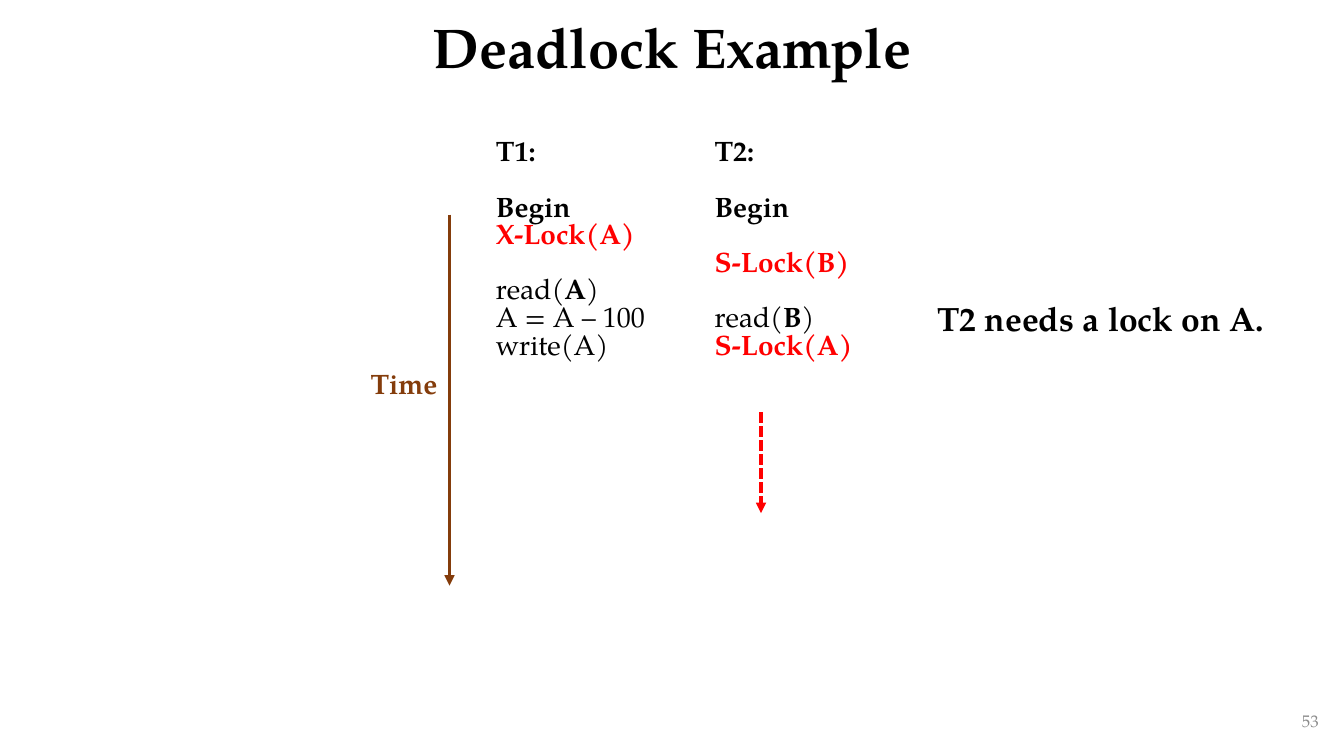
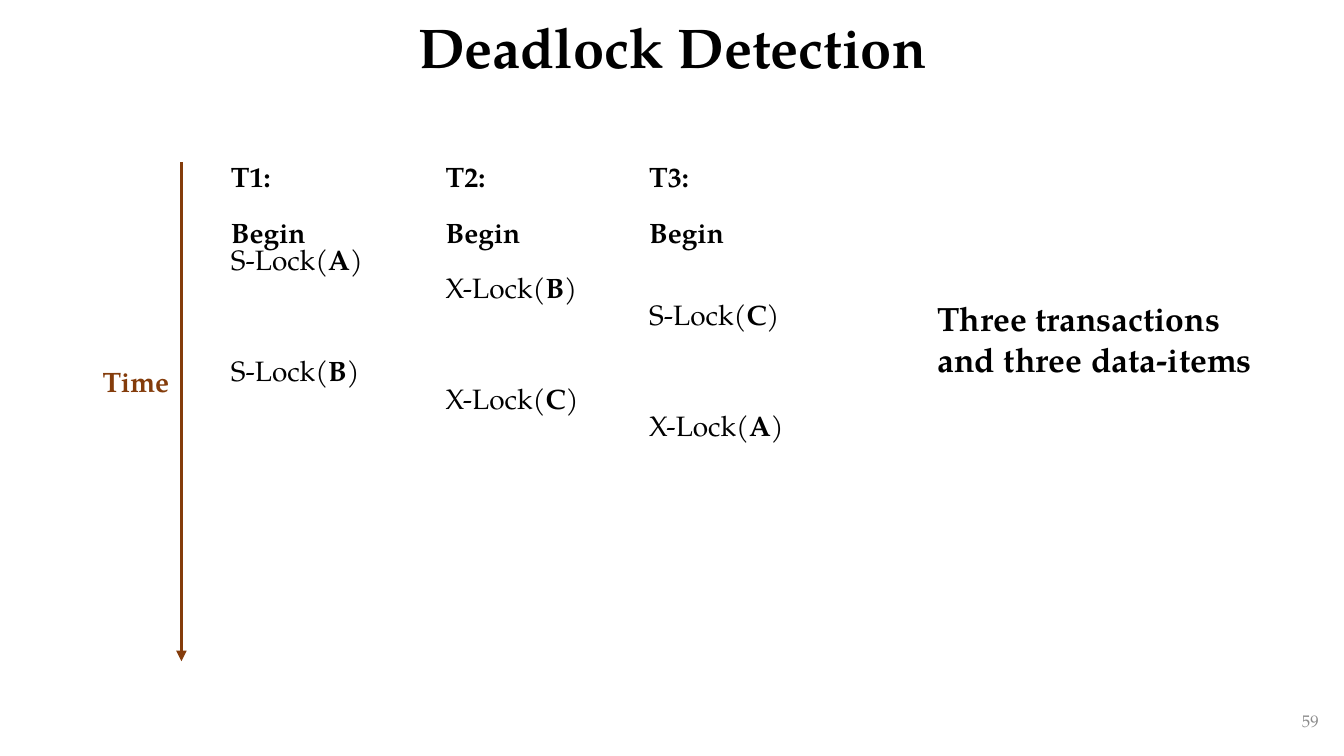
from dataclasses import dataclass

from pptx import Presentation
from pptx.dml.color import RGBColor
from pptx.enum.dml import MSO_LINE
from pptx.enum.shapes import MSO_CONNECTOR
from pptx.enum.text import MSO_ANCHOR, MSO_AUTO_SIZE, PP_ALIGN
from pptx.oxml.ns import qn
from pptx.oxml.xmlchemy import OxmlElement
from pptx.presentation import Presentation as Deck
from pptx.shapes.shapetree import SlideShapes
from pptx.slide import Slide
from pptx.text.text import TextFrame
from pptx.util import Pt

BLACK = RGBColor(0, 0, 0)
RED = RGBColor(0xFF, 0, 0)
BROWN = RGBColor(0x84, 0x3C, 0x0B)
GRAY = RGBColor(0x8C, 0x8C, 0x8C)
FONT = "TeX Gyre Pagella"
PITCH = 19.8  # height of one time step


@dataclass
class Step:
    row: int
    text: str  # parts between asterisks are bold
    color: RGBColor = BLACK


@dataclass
class Track:
    name: str
    width: float
    steps: list[Step]


@dataclass
class Chart:
    left: float
    top: float
    tracks: list[Track]


@dataclass
class Axis:
    x: float
    top: float
    end: float
    label: float


def write(frame: TextFrame, text: str, *, size: float, color: RGBColor = BLACK,
          align: PP_ALIGN = PP_ALIGN.LEFT, pitch: float | None = None,
          before: float = 0) -> None:
    """Add one paragraph; text between asterisks is bold."""
    line = frame.add_paragraph() if frame.text else frame.paragraphs[0]
    line.alignment = align
    line.space_before = Pt(before)
    if pitch is not None:
        line.line_spacing = pitch if pitch < 2 else Pt(pitch)
    for index, part in enumerate(text.split("*")):
        if part:
            run = line.add_run()
            run.text = part
            run.font.name = FONT
            run.font.size = Pt(size)
            run.font.bold = index % 2 == 1
            run.font.color.rgb = color


def add_box(shapes: SlideShapes, left: float, top: float, width: float,
            height: float, grow: bool = True) -> TextFrame:
    frame = shapes.add_textbox(Pt(left), Pt(top), Pt(width), Pt(height)).text_frame
    frame.word_wrap = True
    if grow:
        frame.auto_size = MSO_AUTO_SIZE.SHAPE_TO_FIT_TEXT
    else:
        frame.vertical_anchor = MSO_ANCHOR.MIDDLE
    return frame


def add_arrow(shapes: SlideShapes, x: float, top: float, end: float,
              color: RGBColor, dash: MSO_LINE | None = None) -> None:
    arrow = shapes.add_connector(MSO_CONNECTOR.STRAIGHT, Pt(x), Pt(top), Pt(x), Pt(end))
    arrow.line.color.rgb = color
    arrow.line.width = Pt(2.5)
    if dash is not None:
        arrow.line.dash_style = dash
    props = arrow.element.spPr
    head = OxmlElement("a:tailEnd")
    head.set("type", "triangle")
    props.find(qn("a:ln")).append(head)
    props.append(OxmlElement("a:effectLst"))


def add_axis(slide: Slide, axis: Axis) -> None:
    shapes = slide.shapes.add_group_shape().shapes
    add_arrow(shapes, axis.x, axis.top, axis.end, BROWN)
    label = add_box(shapes, axis.x - 63.4, axis.label, 64, 31)
    write(label, "*Time*", size=20, color=BROWN)


def add_chart(slide: Slide, chart: Chart) -> None:
    """Draw the transactions side by side, one column each."""
    width = sum(track.width for track in chart.tracks)
    table = slide.shapes.add_table(1, len(chart.tracks), Pt(chart.left), Pt(chart.top),
                                   Pt(width), Pt(333.4)).table
    table.first_row = table.horz_banding = False
    for index, track in enumerate(chart.tracks):
        table.columns[index].width = Pt(track.width)
        cell = table.cell(0, index)
        cell.fill.background()
        last = -1
        for step in [Step(0, f"*{track.name}:*"), Step(2, "*Begin*"), *track.steps]:
            write(cell.text_frame, step.text, size=20, color=step.color,
                  pitch=PITCH, before=(step.row - last - 1) * PITCH)
            last = step.row


def add_slide(deck: Deck, title: str, number: int, chart: Chart, axis: Axis,
              note: str) -> Slide:
    slide = deck.slides.add_slide(deck.slide_layouts[5])
    # Title
    head = slide.shapes.title
    head.left, head.top, head.width, head.height = Pt(66.2), Pt(0), Pt(828), Pt(71.3)
    head.text_frame.auto_size = MSO_AUTO_SIZE.NONE
    head.text_frame.vertical_anchor = MSO_ANCHOR.MIDDLE
    write(head.text_frame, f"*{title}*", size=40, align=PP_ALIGN.CENTER, pitch=0.9)
    # Page number
    page = add_box(slide.shapes, 733, 500.4, 216, 28.8, grow=False)
    write(page, str(number), size=12, color=GRAY, align=PP_ALIGN.RIGHT)
    # Schedule and note
    add_chart(slide, chart)
    add_axis(slide, axis)
    write(add_box(slide.shapes, 662.4, 209.5, 260.6, 36), f"*{note}*", size=24)
    return slide


def main() -> None:
    deck = Presentation()
    deck.slide_width, deck.slide_height = Pt(960), Pt(540)

    # Two transactions, one waiting
    locks = Chart(347, 97.2, [
        Track("T1", 156.2, [Step(3, "*X-Lock(A)*", RED), Step(5, "read(*A*)"),
                            Step(6, "A = A – 100"), Step(7, "write(A)")]),
        Track("T2", 147.6, [Step(4, "*S-Lock(B)*", RED), Step(6, "read(*B*)"),
                            Step(7, "*S-Lock(A)*", RED)]),
    ])
    slide = add_slide(deck, "Deadlock Example", 53, locks,
                      Axis(321.1, 153.4, 418.3, 258.5), "T2 needs a lock on A.")
    add_arrow(slide.shapes, 543.6, 294.5, 366.5, RED, MSO_LINE.SQUARE_DOT)

    # Three transactions in a cycle
    cycle = Chart(157.7, 115.9, [
        Track("T1", 153.4, [Step(3, "S-Lock(*A*)"), Step(7, "S-Lock(*B*)")]),
        Track("T2", 145.4, [Step(4, "X-Lock(*B*)"), Step(8, "X-Lock(*C*)")]),
        Track("T3", 145.4, [Step(5, "S-Lock(*C*)"), Step(9, "X-Lock(*A*)")]),
    ])
    add_slide(deck, "Deadlock Detection", 59, cycle,
              Axis(129.6, 115.9, 472.3, 257), "Three transactions and three data-items")

    deck.save("out.pptx")


if __name__ == "__main__":
    main()
